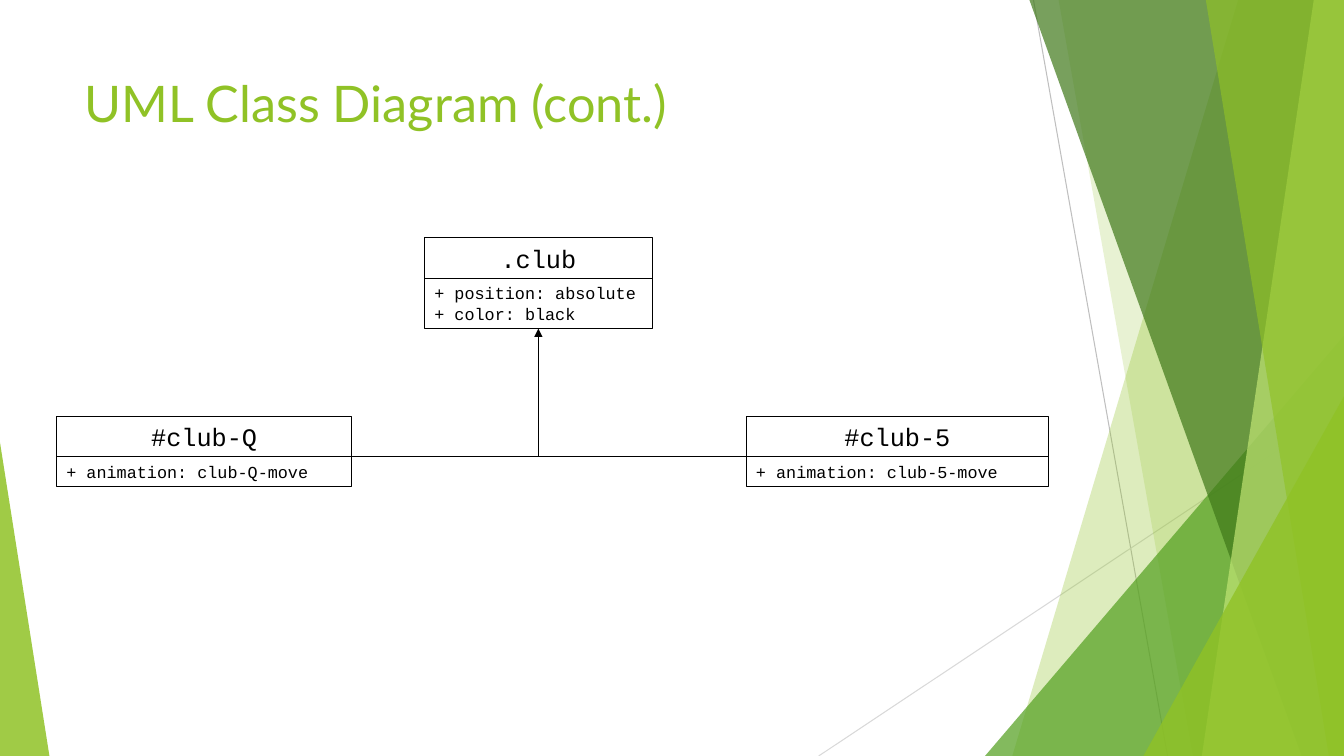
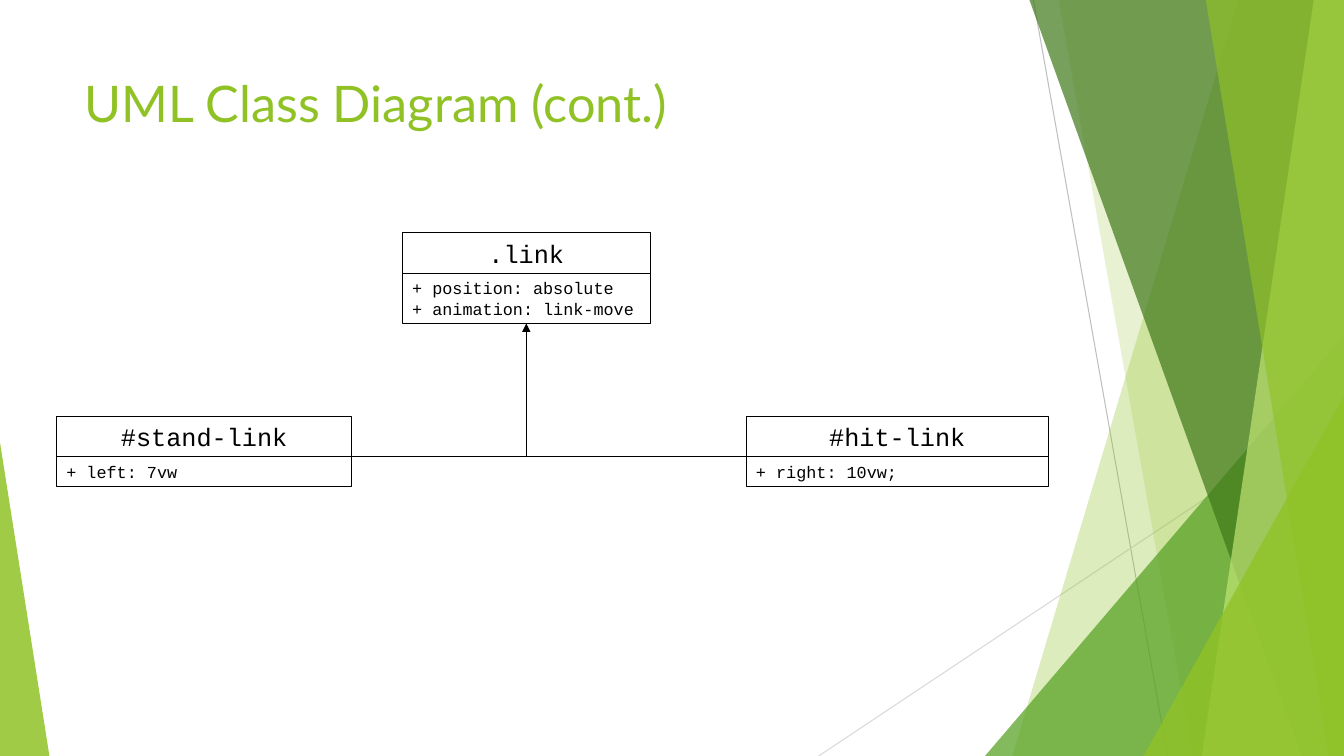
import pptx
import pptx.dml.color
import pptx.enum.shapes
import pptx.enum.text
import pptx.oxml
import pptx.oxml.ns
import pptx.util
from pptx.util import Inches

SHAPES = pptx.enum.shapes.MSO_SHAPE
ALIGN = pptx.enum.text.PP_ALIGN
ANCHOR = pptx.enum.text.MSO_ANCHOR
WIDTH, HEIGHT = 13.33, 7.5

COLORS = {
    "lime": "90C226",
    "green": "54A021",
    "forest": "3F7819",
    "pale": "C0E474",
    "gray": "BFBFBF",
    "silver": "D9D9D9",
    "black": "000000",
}


class Deck:
    title_font = "Lato"
    code_font = "Courier New"
    name_height = 0.4
    line_height = 0.2
    box_padding = 0.1

    def __init__(self):
        self.presentation = pptx.Presentation()
        self.presentation.slide_width = Inches(WIDTH)
        self.presentation.slide_height = Inches(HEIGHT)
        self.slide = None

    def color(self, name):
        return pptx.dml.color.RGBColor.from_string(COLORS[name])

    def add_slide(self, title):
        layout = self.presentation.slide_layouts.get_by_name("Title Only")
        self.slide = self.presentation.slides.add_slide(layout)
        self.decoration()
        self.title(title)

    def run(self, paragraph, text, font, size, color):
        run = paragraph.add_run()
        run.text = text
        run.font.name = font
        run.font.size = pptx.util.Pt(size)
        run.font.color.rgb = self.color(color)

    def title(self, text):
        shape = self.slide.shapes.title
        shape.left, shape.top = Inches(0.74), Inches(0.67)
        shape.width, shape.height = Inches(9.4), Inches(1.44)
        frame = shape.text_frame
        frame.auto_size = pptx.enum.text.MSO_AUTO_SIZE.NONE
        frame.vertical_anchor = ANCHOR.TOP
        paragraph = frame.paragraphs[0]
        paragraph.alignment = ALIGN.LEFT
        self.run(paragraph, text, self.title_font, 36, "lime")

    def glaze(self, shape, color, opacity):
        shape.shadow.inherit = False
        shape.line.fill.background()
        shape.fill.solid()
        shape.fill.fore_color.rgb = self.color(color)
        value = shape.fill._xPr.find(".//" + pptx.oxml.ns.qn("a:srgbClr"))
        alpha = pptx.oxml.parse_xml(
            f'<a:alpha {pptx.oxml.ns.nsdecls("a")} val="{opacity * 1000}"/>')
        value.append(alpha)

    def band(self, top_left, bottom_left, color, opacity, top_right=WIDTH):
        builder = self.slide.shapes.build_freeform(Inches(top_left), 0)
        corners = [(top_right, 0), (WIDTH, HEIGHT), (bottom_left, HEIGHT)]
        if top_right != WIDTH:
            corners.insert(1, (WIDTH, 0))
        builder.add_line_segments([(Inches(x), Inches(y)) for x, y in corners])
        self.glaze(builder.convert_to_shape(), color, opacity)

    def triangle(self, left, top, width, apex, color, opacity):
        shape = self.slide.shapes.add_shape(
            SHAPES.ISOSCELES_TRIANGLE, Inches(left), Inches(top),
            Inches(width), Inches(HEIGHT - top))
        shape.adjustments[0] = apex
        self.glaze(shape, color, opacity)

    def line(self, start, end, color="black", weight=1, target=None):
        connector = self.slide.shapes.add_connector(
            pptx.enum.shapes.MSO_CONNECTOR.STRAIGHT,
            Inches(start[0]), Inches(start[1]), Inches(end[0]), Inches(end[1]))
        connector.line.color.rgb = self.color(color)
        connector.line.width = pptx.util.Pt(weight)
        namespace = pptx.oxml.ns.nsdecls("a")
        if target is not None:
            connector.end_connect(target, 2)
            connector.line._get_or_add_ln().append(
                pptx.oxml.parse_xml(f'<a:tailEnd {namespace} type="triangle"/>'))
        connector._element.spPr.append(
            pptx.oxml.parse_xml(f"<a:effectLst {namespace}/>"))

    def decoration(self):
        self.line((10.25, 0), (11.58, HEIGHT), "gray", 0.75)
        self.line((WIDTH, 4.03), (8.12, HEIGHT), "silver", 0.75)
        self.band(12.28, 10.04, "lime", 30)
        self.band(10.5, 11.83, "lime", 20)
        self.triangle(9.77, 3.33, 3.56, 1, "green", 72)
        self.band(10.21, 12.91, "forest", 70)
        self.band(13.03, 11.92, "pale", 70)
        self.band(11.96, 13.18, "lime", 65)
        self.triangle(11.34, 3.93, 1.99, 1, "lime", 80)
        self.triangle(0, 4.39, 0.49, 0, "lime", 85)

    def cell(self, left, top, width, height, lines, size, alignment):
        shape = self.slide.shapes.add_shape(
            SHAPES.RECTANGLE, Inches(left), Inches(top),
            Inches(width), Inches(height))
        shape.shadow.inherit = False
        shape.fill.background()
        shape.line.color.rgb = self.color("black")
        shape.line.width = pptx.util.Pt(0.75)
        frame = shape.text_frame
        frame.word_wrap = True
        frame.vertical_anchor = ANCHOR.MIDDLE
        for index, text in enumerate(lines):
            paragraph = frame.add_paragraph() if index else frame.paragraphs[0]
            paragraph.alignment = alignment
            self.run(paragraph, text, self.code_font, size, "black")
        return shape

    def class_box(self, left, top, width, name, attributes):
        self.cell(left, top, width, self.name_height, [name], 18, ALIGN.CENTER)
        height = self.box_padding + self.line_height * len(attributes)
        return self.cell(left, top + self.name_height, width, height,
                         attributes, 12, ALIGN.LEFT)

    def class_diagram(self, parent, left_child, right_child):
        left, top, width = parent[:3]
        child_left, child_width, child_top, right_edge = 0.56, 2.93, 4.13, 7.4
        parent_box = self.class_box(*parent)
        self.class_box(child_left, child_top, child_width, *left_child)
        self.class_box(right_edge, child_top, 3, *right_child)
        junction = (left + width / 2, child_top + self.name_height)
        self.line((child_left + child_width, junction[1]), junction)
        self.line(junction, (junction[0], top), target=parent_box)
        self.line(junction, (right_edge, junction[1]))


DIAGRAMS = [
    ((4.21, 2.36, 2.26, ".club", ["+ position: absolute", "+ color: black"]),
     ("#club-Q", ["+ animation: club-Q-move"]),
     ("#club-5", ["+ animation: club-5-move"])),
    ((3.99, 2.31, 2.46, ".link", ["+ position: absolute", "+ animation: link-move"]),
     ("#stand-link", ["+ left: 7vw"]),
     ("#hit-link", ["+ right: 10vw;"])),
]


def main():
    deck = Deck()
    for diagram in DIAGRAMS:
        deck.add_slide("UML Class Diagram (cont.)")
        deck.class_diagram(*diagram)
    deck.presentation.save("out.pptx")


if __name__ == "__main__":
    main()
